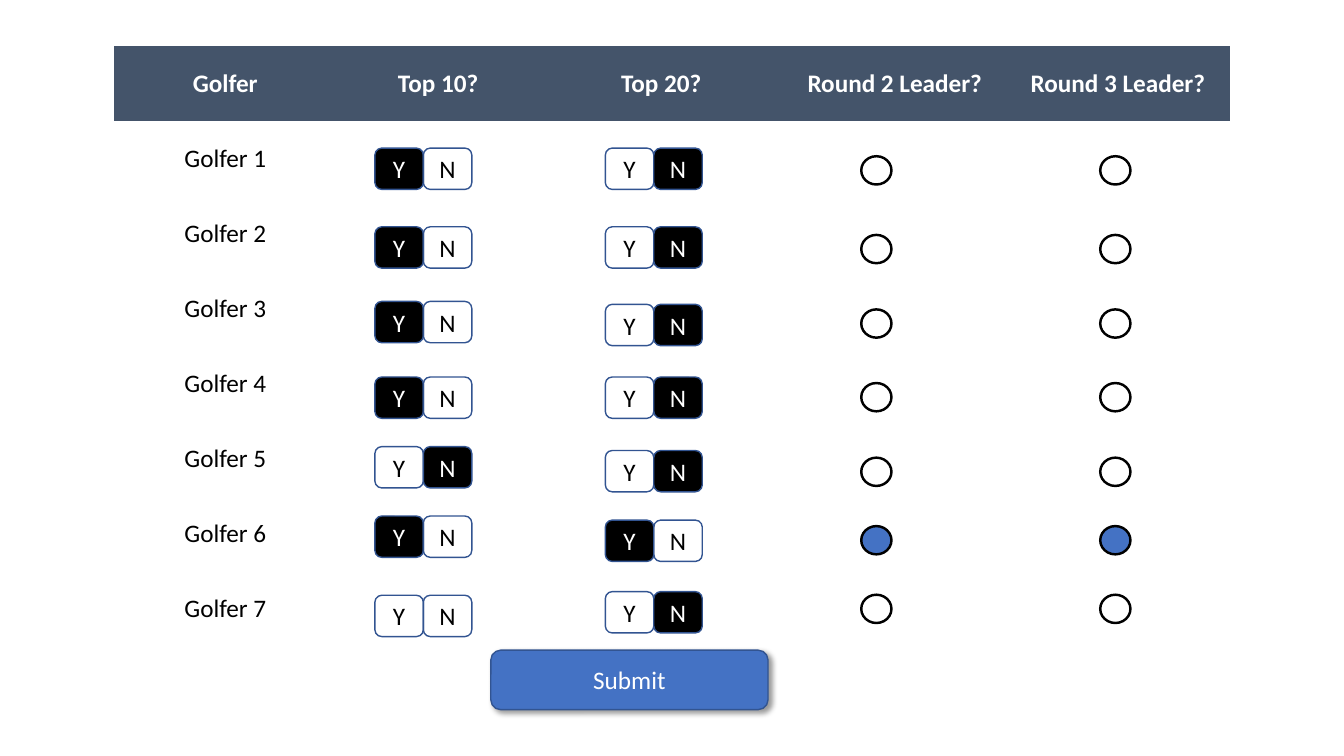
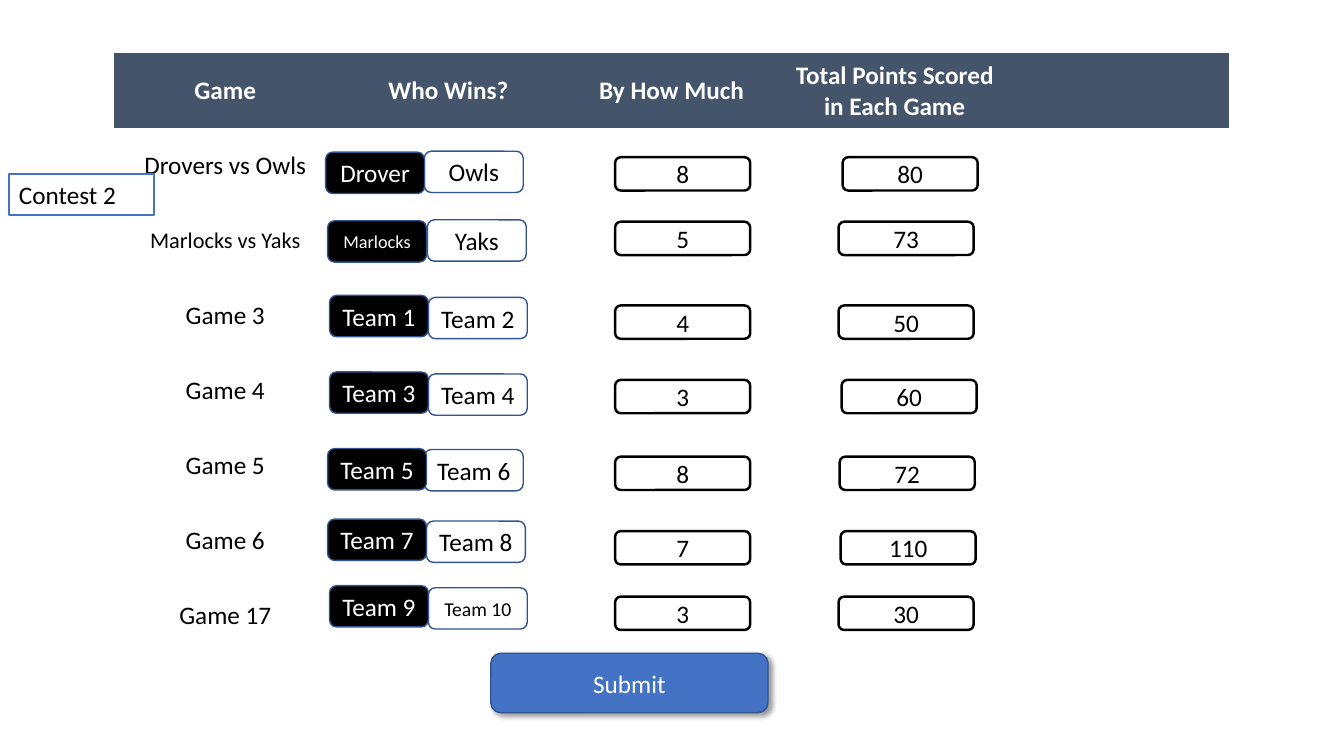
from itertools import product

from lxml import etree
from pptx import Presentation
from pptx.dml.color import RGBColor
from pptx.enum.shapes import MSO_SHAPE
from pptx.enum.text import MSO_ANCHOR, MSO_AUTO_SIZE, PP_ALIGN
from pptx.oxml.ns import qn
from pptx.util import Pt

ROUNDED, OVAL = MSO_SHAPE.ROUNDED_RECTANGLE, MSO_SHAPE.OVAL
MIDDLE, CENTER, LEFT = MSO_ANCHOR.MIDDLE, PP_ALIGN.CENTER, PP_ALIGN.LEFT
FIT_SHAPE = MSO_AUTO_SIZE.SHAPE_TO_FIT_TEXT

THEME = {
    "font": "Calibri", "body": 18, "compact": 16, "small": 14, "tiny": 13,
    "white": "FFFFFF", "black": "000000", "band": "44546A",
    "accent": "4472C4", "edge": "325491",
    "thin": 1, "frame": 1.5, "thick": 1.75,
    "plain_table": "{2D5ABB26-0587-4C30-8999-92F81FD0307C}",
}

TABLE_LEFT, ROW_HEIGHT = 81.2, 53.57
SUBMIT = {"left": 350.6, "width": 198, "height": 42.5}
TOGGLE = {"width": 34.6, "height": 29.5}
RADIO = {"width": 21.6, "height": 20.2}
TEAM = {"width": 70.6, "height": 29.5}
SCORE = {"width": 96.5, "height": 23.8}

GOLF = {
    "top": 33.1, "submit_top": 464.4,
    "widths": [159.4, 144.7, 174.2, 159.4, 159.4],
    "headers": ["Golfer", "Top 10?", "Top 20?", "Round 2 Leader?", "Round 3 Leader?"],
    "labels": [(f"Golfer {number}", "body") for number in range(1, 8)],
}
TOGGLES = [
    (267.8, "YYYYNY-", [105.8, 162, 215.3, 269.3, 319, 368.6, 425.2]),
    (432.4, "NNNNNYN", [105.8, 162, 217.4, 269.3, 321.8, 371.5, 422.6]),
]
RADIO_LEFTS = [615.2, 785.9]
RADIO_TOPS = [111.6, 167.8, 221, 273.6, 326.9, 375.8, 424.8]
LEADER_ROW = 5

FOOTBALL = {
    "top": 38.2, "submit_top": 466.6,
    "widths": [159.4] * 5,
    "headers": ["Game", "Who Wins?", "By How Much", "Total Points Scored in Each Game", ""],
    "labels": [("Drovers vs Owls", "body"), ("Marlocks vs Yaks", "compact")]
    + [(f"Game {number}", "body") for number in (3, 4, 5, 6, 17)],
}
WINNERS = [
    ("Drover", "body", 232.6, 108.7), ("Marlocks", "tiny", 234, 157.7),
    ("Team 1", "body", 235.4, 211), ("Team 3", "body", 235.4, 265.7),
    ("Team 5", "body", 234, 320.4), ("Team 7", "body", 234, 370.8),
    ("Team 9", "body", 235.4, 418.3),
]
LOSERS = [
    ("Owls", "body", 303.1, 108), ("Yaks", "body", 305.3, 157),
    ("Team 2", "body", 306, 212.4), ("Team 4", "body", 306, 267.1),
    ("Team 6", "body", 303.1, 321.1), ("Team 8", "body", 304.6, 372.2),
    ("Team 10", "small", 306, 419.8),
]
SCORE_TOPS = [112.3, 158.4, 218.2, 271.4, 326.2, 379.4, 426.2]
MARGINS = [8, 5, 4, 3, 8, 7, 3]
MARGIN_LEFT = 439.4
TOTALS = [(80, 601.9), (73, 599), (50, 599), (60, 601.2), (72, 599.8), (110, 600.5), (30, 599)]
CONTEST = {"left": 6.5, "top": 124.6, "width": 103.7, "height": 28.8}


def color(name):
    return RGBColor.from_string(THEME[name])


def write(text_frame, text, ink, size="body", bold=False, align=CENTER):
    paragraph = text_frame.paragraphs[0]
    paragraph.alignment = align
    run = paragraph.add_run()
    run.text = text
    run.font.color.rgb = color(ink)
    formats = {"name": THEME["font"], "size": Pt(THEME[size]), "bold": bold}
    for name, value in formats.items():
        setattr(run.font, name, value)


def outline(shape, edge, weight):
    shape.line.color.rgb = color(edge)
    shape.line.width = Pt(THEME[weight])


def add_control(slide, kind, left, top, width, height, text="", ink="black",
                size="body", fill=None, edge="edge", weight="thin"):
    shape = slide.shapes.add_shape(kind, Pt(left), Pt(top), Pt(width), Pt(height))
    shape.shadow.inherit = False
    if fill:
        shape.fill.solid()
        shape.fill.fore_color.rgb = color(fill)
    else:
        shape.fill.background()
    outline(shape, edge, weight)
    if text:
        for name, value in {"word_wrap": True, "vertical_anchor": MIDDLE}.items():
            setattr(shape.text_frame, name, value)
        write(shape.text_frame, text, ink, size)
    return shape


def add_choice(slide, left, top, text, selected, box, size="body"):
    ink, fill = ("white", "black") if selected else ("black", None)
    add_control(slide, ROUNDED, left, top, **box, text=text, ink=ink, size=size, fill=fill)


def add_score(slide, left, top, value):
    add_control(slide, ROUNDED, left, top, **SCORE, text=str(value),
                edge="black", weight="thick")


def add_submit(slide, top):
    button = add_control(slide, ROUNDED, top=top, **SUBMIT, text="Submit",
                         ink="white", fill="accent")
    effects = button._element.spPr.find(qn("a:effectLst"))
    shadow = etree.SubElement(effects, qn("a:outerShdw"), blurRad=str(Pt(4)),
                              dist=str(Pt(3)), dir="2700000", algn="tl", rotWithShape="0")
    tint = etree.SubElement(shadow, qn("a:srgbClr"), val=THEME["black"])
    etree.SubElement(tint, qn("a:alpha"), val="40000")


def add_entry_table(slide, content):
    widths, labels = content["widths"], content["labels"]
    rows = len(labels) + 1
    table = slide.shapes.add_table(rows, len(widths), Pt(TABLE_LEFT), Pt(content["top"]),
                                   Pt(sum(widths)), Pt(ROW_HEIGHT * rows)).table
    for name in ("first_row", "horz_banding"):
        setattr(table, name, False)
    table._tbl.tblPr.find(qn("a:tableStyleId")).text = THEME["plain_table"]
    for column, width in zip(table.columns, widths):
        column.width = Pt(width)
    for row in table.rows:
        row.height = Pt(ROW_HEIGHT)
    for row, column in product(range(rows), range(len(widths))):
        cell = table.cell(row, column)
        cell.vertical_anchor = MIDDLE
        if row == 0:
            cell.fill.solid()
            cell.fill.fore_color.rgb = color("band")
            if content["headers"][column]:
                write(cell.text_frame, content["headers"][column], "white", bold=True)
        else:
            cell.fill.background()
            if column == 0:
                text, size = labels[row - 1]
                write(cell.text_frame, text, "black", size)


def add_entry_slide(presentation, content):
    slide = presentation.slides.add_slide(presentation.slide_layouts[6])
    add_entry_table(slide, content)
    add_submit(slide, content["submit_top"])
    return slide


def build_golf(presentation):
    slide = add_entry_slide(presentation, GOLF)
    for left, answers, tops in TOGGLES:
        for answer, top in zip(answers, tops):
            for position, option in enumerate("YN"):
                add_choice(slide, left + position * TOGGLE["width"], top, option,
                           option == answer, TOGGLE)
    for left in RADIO_LEFTS:
        for row, top in enumerate(RADIO_TOPS):
            add_control(slide, OVAL, left, top, **RADIO, edge="black", weight="thick",
                        fill="accent" if row == LEADER_ROW else None)


def build_football(presentation):
    slide = add_entry_slide(presentation, FOOTBALL)
    for teams, selected in ((LOSERS, False), (WINNERS, True)):
        for text, size, left, top in teams:
            add_choice(slide, left, top, text, selected, TEAM, size)
    for top, margin, (total, total_left) in zip(SCORE_TOPS, MARGINS, TOTALS):
        add_score(slide, MARGIN_LEFT, top, margin)
        add_score(slide, total_left, top, total)
    box = slide.shapes.add_textbox(*(Pt(CONTEST[side])
                                     for side in ("left", "top", "width", "height")))
    outline(box, "accent", "frame")
    for name, value in {"word_wrap": True, "auto_size": FIT_SHAPE}.items():
        setattr(box.text_frame, name, value)
    write(box.text_frame, "Contest 2", "black", align=LEFT)


presentation = Presentation()
presentation.slide_width, presentation.slide_height = Pt(960), Pt(540)
build_golf(presentation)
build_football(presentation)
presentation.save("out.pptx")
